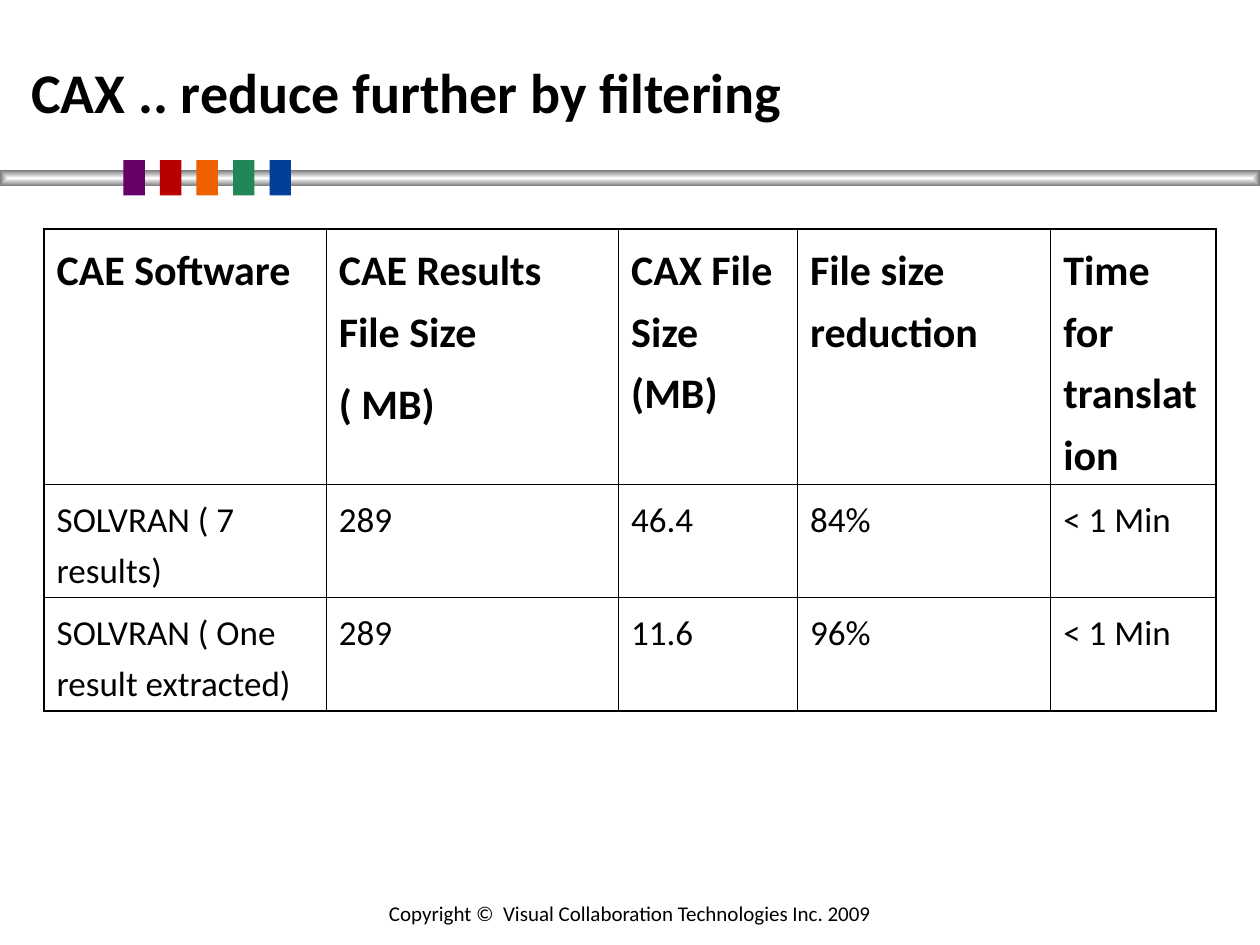
from dataclasses import dataclass

from lxml import etree
from pptx import Presentation, util as u
from pptx.dml.color import RGBColor
from pptx.enum import shapes, text
from pptx.oxml.ns import qn


@dataclass(frozen=True)
class Theme:
    font: str = "Calibri"
    ink: str = "000000"
    bar_edge: str = "777777"
    bar_core: str = "FFFFFF"
    markers: tuple = ("660066", "B80000", "EE6000", "208856", "023F98")
    title: int = 32
    header: int = 24
    body: int = 20
    footer: int = 12
    outer_line: float = 1.08
    inner_line: float = 0.45


class SlideBuilder:
    def __init__(self, slide, theme):
        self.slide = slide
        self.theme = theme

    def add_span(self, para, words, size, bold=False):
        span = para.add_run()
        span.text = words
        span.font.name = self.theme.font
        span.font.size = u.Pt(size)
        span.font.bold = bold
        span.font.color.rgb = RGBColor.from_string(self.theme.ink)

    def label(self, words, left, top, width, height, size, bold=False,
              align=text.PP_ALIGN.LEFT, anchor=text.MSO_ANCHOR.TOP):
        box = self.slide.shapes.add_textbox(
            u.Inches(left), u.Inches(top), u.Inches(width), u.Inches(height))
        frame = box.text_frame
        frame.word_wrap = True
        frame.vertical_anchor = anchor
        para = frame.paragraphs[0]
        para.alignment = align
        self.add_span(para, words, size, bold)

    def rectangle(self, left, top, width, height):
        shape = self.slide.shapes.add_shape(
            shapes.MSO_SHAPE.RECTANGLE, u.Inches(left), u.Inches(top),
            u.Inches(width), u.Inches(height))
        shape.shadow.inherit = False
        shape.line.fill.background()
        return shape

    def marker(self, left, top, width, height, color):
        fill = self.rectangle(left, top, width, height).fill
        fill.solid()
        fill.fore_color.rgb = RGBColor.from_string(color)

    def metal_bar(self, left, top, width, height):
        bar = self.rectangle(left, top, width, height)
        bar.fill.gradient()
        colors = (self.theme.bar_core, self.theme.bar_edge)
        for position, (stop, color) in enumerate(zip(bar.fill.gradient_stops, colors)):
            stop.position = position
            stop.color.rgb = RGBColor.from_string(color)
        gradient = bar.element.spPr.find(qn("a:gradFill"))
        gradient.remove(gradient.find(qn("a:lin")))
        shade = etree.SubElement(gradient, qn("a:path"), {"path": "rect"})
        center = dict.fromkeys("ltrb", "50000")
        etree.SubElement(shade, qn("a:fillToRect"), center)

    def cell_borders(self, cell, outer_sides):
        properties = cell._tc.get_or_add_tcPr()
        for index, side in enumerate("LRTB"):
            points = self.theme.outer_line if side in outer_sides else self.theme.inner_line
            line = etree.Element(qn(f"a:ln{side}"), {"w": str(u.Pt(points))})
            solid = etree.SubElement(line, qn("a:solidFill"))
            etree.SubElement(solid, qn("a:srgbClr"), {"val": self.theme.ink})
            properties.insert(index, line)

    def table(self, rows, left, top, widths, heights):
        frame = self.slide.shapes.add_table(
            len(rows), len(widths), u.Inches(left), u.Inches(top),
            u.Inches(sum(widths)), u.Inches(sum(heights)))
        grid = frame.table
        grid.first_row = grid.horz_banding = False
        for column, width in zip(grid.columns, widths):
            column.width = u.Inches(width)
        for row, height in zip(grid.rows, heights):
            row.height = u.Inches(height)
        for r, row in enumerate(rows):
            size = self.theme.body if r else self.theme.header
            for c, words in enumerate(row):
                cell = grid.cell(r, c)
                cell.fill.background()
                edges = {"L": c == 0, "R": c == len(widths) - 1,
                         "T": r == 0, "B": r == len(rows) - 1}
                self.cell_borders(cell, [side for side in edges if edges[side]])
                for number, line in enumerate(words.split("\n")):
                    body = cell.text_frame
                    para = body.add_paragraph() if number else body.paragraphs[0]
                    para.line_spacing = 1.2
                    if number:
                        para.space_before = u.Pt(6)
                    self.add_span(para, line, size, bold=r == 0)


def main():
    theme = Theme()
    deck = Presentation()
    deck.slide_width, deck.slide_height = u.Inches(10), u.Inches(7.5)
    page = SlideBuilder(deck.slides.add_slide(deck.slide_layouts[6]), theme)

    page.metal_bar(0, 1.35, 10, 0.13)
    page.label("Copyright ©  Visual Collaboration Technologies Inc. 2009",
               0, 7.1, 10, 0.27, theme.footer, align=text.PP_ALIGN.CENTER)
    for index, color in enumerate(theme.markers):
        page.marker(0.98 + 0.29 * index, 1.27, 0.17, 0.28, color)
    page.label("CAX .. reduce further by filtering", 0.15, 0.41, 6.46, 0.63,
               theme.title, bold=True, anchor=text.MSO_ANCHOR.MIDDLE)

    results = [
        ("CAE Software", "CAE Results File Size\n( MB)", "CAX File Size (MB)",
         "File size reduction", "Time for translation"),
        ("SOLVRAN ( 7 results)", "289", "46.4", "84%", "< 1 Min"),
        ("SOLVRAN ( One result extracted)", "289", "11.6", "96%", "< 1 Min"),
    ]
    page.table(results, 0.35, 1.82, widths=(2.24, 2.32, 1.42, 2.01, 1.31),
               heights=(2.02, 0.9, 0.9))
    deck.save("out.pptx")


if __name__ == "__main__":
    main()
